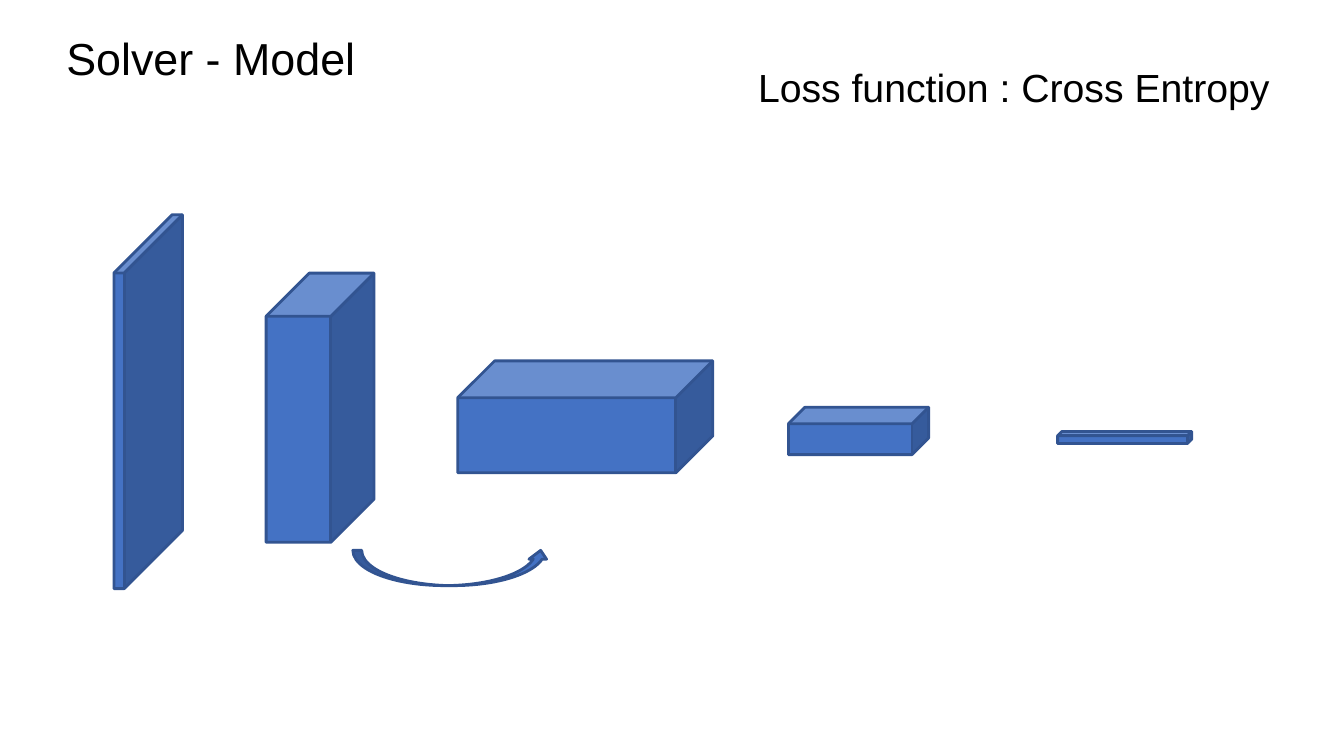
"""Build the solver model slide: shrinking layer blocks and a loss caption."""
from pptx import Presentation
from pptx.dml.color import RGBColor
from pptx.enum.shapes import MSO_SHAPE
from pptx.enum.text import MSO_AUTO_SIZE
from pptx.util import Pt

PX = 9144
COLORS = {"text": "000000", "fill": "4472C4", "line": "325491"}

deck = Presentation()
deck.slide_width, deck.slide_height = 1333 * PX, 750 * PX
slide = deck.slides.add_slide(deck.slide_layouts[6])


def add_label(text, box, size, wrap):
    label = slide.shapes.add_textbox(*[n * PX for n in box])
    frame = label.text_frame
    frame.word_wrap = wrap
    frame.auto_size = MSO_AUTO_SIZE.SHAPE_TO_FIT_TEXT
    para = frame.paragraphs[0]
    para.text = text
    para.font.name = "Arial"
    para.font.size = Pt(size)
    para.font.color.rgb = RGBColor.from_string(COLORS["text"])


def add_solid(kind, box):
    solid = slide.shapes.add_shape(kind, *[n * PX for n in box])
    solid.shadow.inherit = False
    solid.fill.solid()
    solid.fill.fore_color.rgb = RGBColor.from_string(COLORS["fill"])
    solid.line.color.rgb = RGBColor.from_string(COLORS["line"])
    solid.line.width = Pt(2)
    return solid


add_label("Solver - Model", (56, 26, 309, 64), 32, False)

layers = [
    ((113, 213, 68, 371), 0.85),
    ((264, 271, 107, 267), 0.4),
    ((454, 358, 253, 111), 0.33),
    ((782, 404, 139, 47), 0.35),
    ((1049, 428, 133, 12), 0.35),
]
for box, depth in layers:
    add_solid(MSO_SHAPE.CUBE, box).adjustments[0] = depth

add_solid(MSO_SHAPE.CURVED_UP_ARROW, (350, 546, 195, 35))
add_label("Loss function : Cross Entropy", (742, 58, 545, 57), 28, True)

deck.save("out.pptx")
